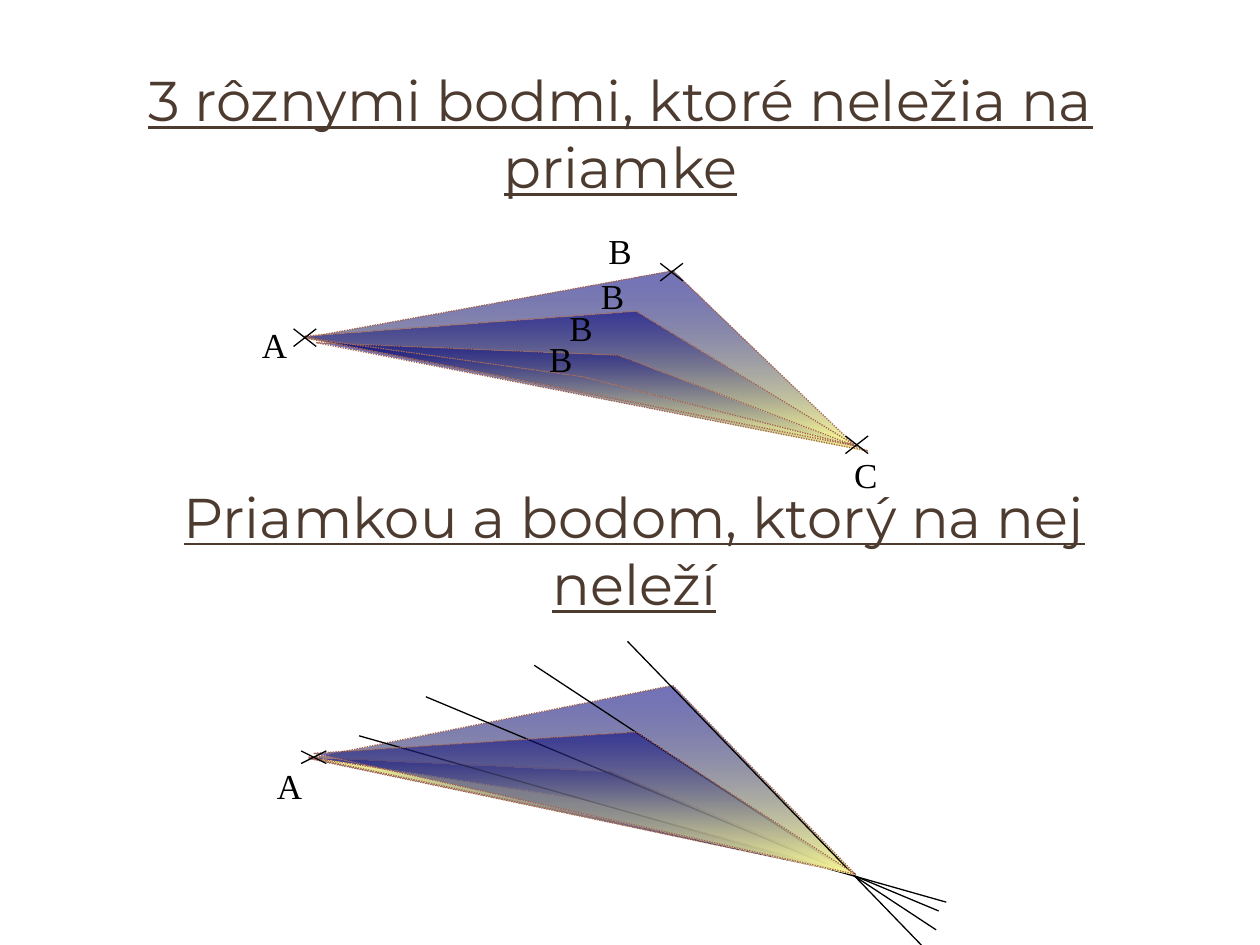
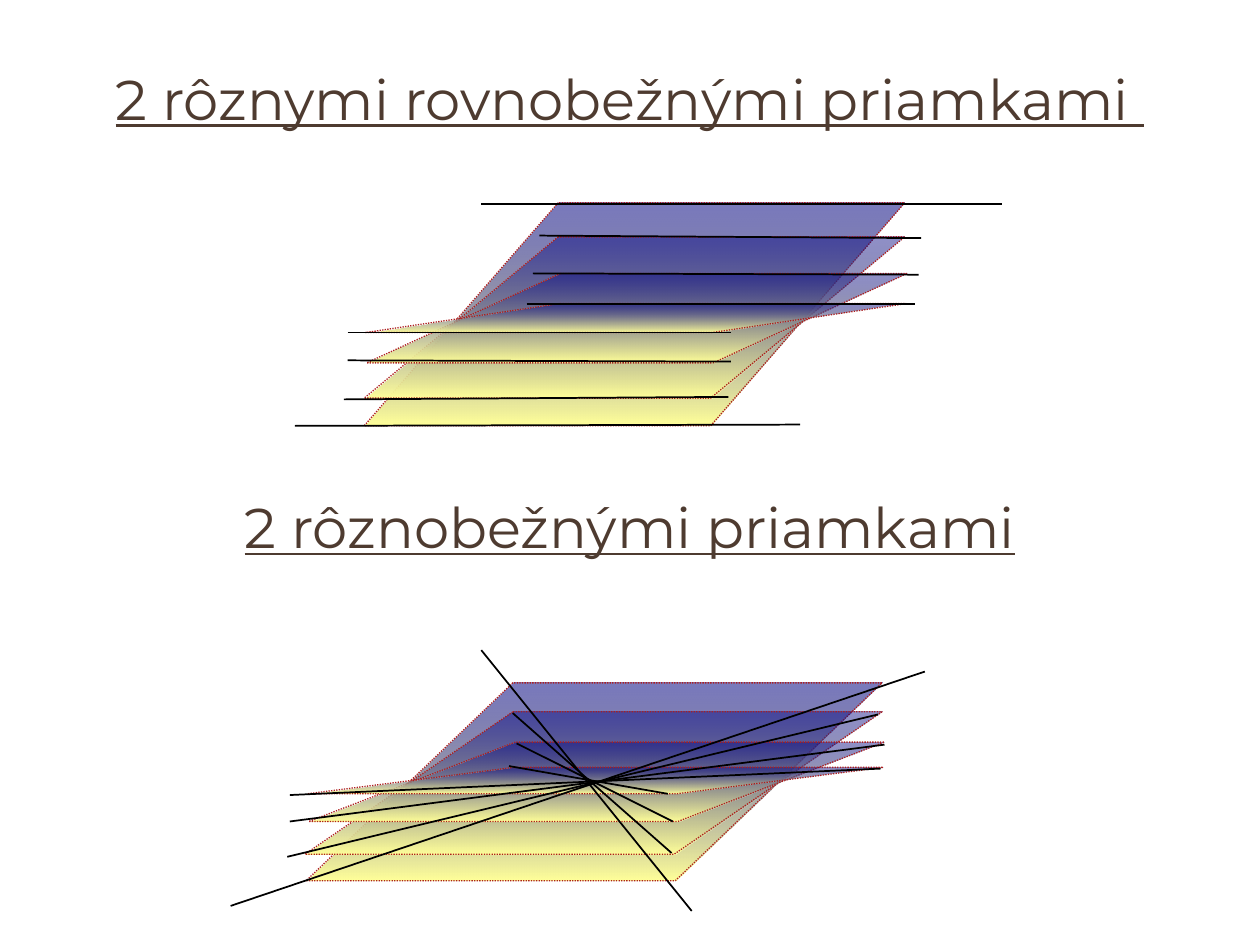
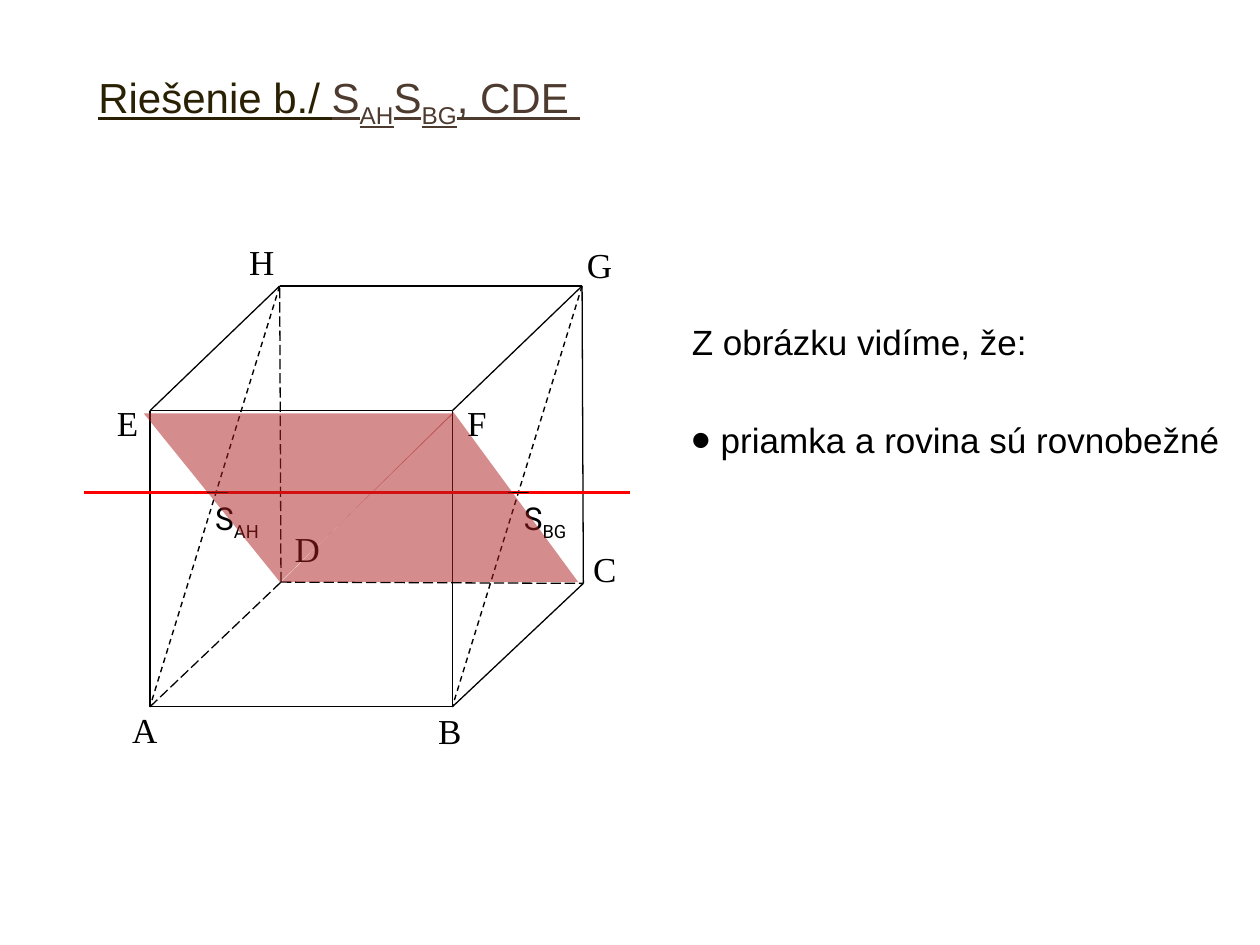
"""Builds three slides on how a plane is determined and on a line parallel to a plane."""
from dataclasses import dataclass

from lxml.etree import SubElement
from pptx import Presentation
from pptx.dml.color import RGBColor
from pptx.enum.dml import MSO_LINE
from pptx.enum.shapes import MSO_CONNECTOR as Connector, MSO_SHAPE as Preset
from pptx.enum.text import MSO_ANCHOR as Anchor, MSO_AUTO_SIZE as AutoSize, PP_ALIGN as Align
from pptx.oxml.ns import qn
from pptx.util import Pt

PX = 9144


@dataclass(frozen=True)
class Theme:
    brown: str = "4E3B30"
    olive: str = "2A2003"
    black: str = "000000"
    navy: str = "000080"
    yellow: str = "FFFF99"
    copper: str = "A5644E"
    crimson: str = "AD1F1F"
    red: str = "FF0000"
    heading: tuple = ("Montserrat", 32, True)
    solution: tuple = ("Arial", 24, True)
    body: tuple = ("Arial", 20, False)
    point: tuple = ("Times New Roman", 20, False)
    midpoint: tuple = ("Roboto", 18, False)


theme = Theme()


def write(shape, at, text, style, colour, align=Align.LEFT):
    for side, length in zip(("left", "top", "width", "height"), at):
        setattr(shape, side, length * PX)
    frame = shape.text_frame
    frame_format = {"word_wrap": True, "auto_size": AutoSize.NONE, "vertical_anchor": Anchor.TOP}
    for attribute, value in frame_format.items():
        setattr(frame, attribute, value)
    name, size, underline = style
    for index, line in enumerate(text.split("\n")):
        paragraph = frame.add_paragraph() if index else frame.paragraphs[0]
        paragraph.alignment = align
        for order, part in enumerate(line.split("|")):
            if not part:
                continue
            run = paragraph.add_run()
            run.text = part
            run_format = {"name": name, "size": Pt(size), "underline": underline}
            for attribute, value in run_format.items():
                setattr(run.font, attribute, value)
            run.font.color.rgb = RGBColor.from_string(colour)
            if order % 2:
                run.font._element.set("baseline", "-25000")


def draw(slide, points, stroke, stops=()):
    if len(points) == 2:
        ends = [length * PX for point in points for length in point]
        figure = slide.shapes.add_connector(Connector.STRAIGHT, *ends)
    else:
        builder = slide.shapes.build_freeform(*points[0], scale=PX)
        builder.add_line_segments(points[1:], close=True)
        figure = builder.convert_to_shape()
        figure.shadow.inherit = False
        figure.fill.gradient()
        figure.fill.gradient_angle = 270
        for stop, (colour, opacity) in zip(figure.fill.gradient_stops, stops):
            stop.color.rgb = RGBColor.from_string(colour)
            tone = stop._gs.find(qn("a:srgbClr"))
            SubElement(tone, qn("a:alpha"), val=str(opacity * 1000))
    colour, weight, dash = stroke
    figure.line.color.rgb = RGBColor.from_string(colour)
    figure.line.width = Pt(weight)
    if dash:
        figure.line.dash_style = dash
    if len(points) == 2:
        SubElement(figure._element.spPr, qn("a:effectLst"))


deck = Presentation()
deck.slide_width, deck.slide_height = 1000 * PX, 750 * PX
title_only, title_and_body = deck.slide_layouts[5], deck.slide_layouts[1]

thin = (theme.black, 0.75, None)
medium = (theme.black, 1, None)
hidden_edge = (theme.black, 0.75, MSO_LINE.LONG_DASH)
diagonal = (theme.black, 0.79, MSO_LINE.DASH)
triangle_edge = (theme.copper, 0.75, MSO_LINE.ROUND_DOT)
plane_edge = (theme.crimson, 0.75, MSO_LINE.ROUND_DOT)
sheer = [(theme.navy, 55), (theme.yellow, 100)]
solid = [(theme.yellow, 100), (theme.navy, 100)]

points_slide = deck.slides.add_slide(title_only)
write(points_slide.shapes.title, (59, 47, 867, 118),
      "3 rôznymi bodmi, ktoré neležia na priamke", theme.heading, theme.brown, Align.CENTER)
write(points_slide.shapes.add_textbox(0, 0, 0, 0), (71, 378, 865, 118),
      "Priamkou a bodom, ktorý na nej neleží", theme.heading, theme.brown, Align.CENTER)

for corners, stops in [
    ([(243, 268), (534, 215), (680, 355)], sheer),
    ([(240, 267), (505, 247), (678, 353)], sheer),
    ([(251, 272), (491, 282), (689, 358)], sheer),
    ([(241, 268), (462, 299), (679, 354)], sheer),
    ([(245, 602), (534, 544), (679, 694)], sheer),
    ([(245, 601), (484, 612), (679, 694)], sheer),
    ([(245, 601), (465, 635), (679, 694)], solid),
]:
    draw(points_slide, corners, triangle_edge, stops)
for line in [
    [(498, 509), (737, 756)],
    [(424, 528), (743, 738)],
    [(338, 553), (745, 723)],
    [(285, 584), (751, 716)],
]:
    draw(points_slide, line, thin)
draw(points_slide, [(249, 598), (679, 694), (505, 581)], triangle_edge, sheer)

for x, y, reach, rise in [(680, 353, 9, 7), (533, 216, 9, 7), (242, 268, 9, 7), (249, 601, 10, 5)]:
    for slope in (rise, -rise):
        draw(points_slide, [(x - reach, y - slope), (x + reach, y + slope)], thin)
for letter, x, y in [("A", 198, 252), ("B", 473, 177), ("C", 668, 355), ("B", 467, 213),
                     ("B", 442, 238), ("B", 426, 263), ("A", 210, 602)]:
    write(points_slide.shapes.add_textbox(0, 0, 0, 0), (x, y, 60, 43),
          letter, theme.point, theme.black)

lines_slide = deck.slides.add_slide(title_only)
write(lines_slide.shapes.title, (0, 46, 1000, 64),
      "2 rôznymi rovnobežnými priamkami ", theme.heading, theme.brown, Align.CENTER)
write(lines_slide.shapes.add_textbox(0, 0, 0, 0), (0, 386, 1000, 64),
      "2 rôznobežnými priamkami", theme.heading, theme.brown, Align.CENTER)

parallel_planes = [(443, 161, 289, 338), (443, 188, 289, 316),
                   (445, 217, 291, 288), (444, 241, 290, 264)]
parallel_lines = [
    [(382, 162), (795, 162)], [(428, 187), (731, 189)],
    [(423, 217), (729, 218)], [(418, 241), (726, 241)],
    [(234, 338), (635, 337)], [(273, 317), (578, 315)],
    [(276, 286), (580, 287)], [(276, 264), (580, 264)],
]
crossing_planes = [(407, 542, 243, 699), (407, 565, 242, 678),
                   (409, 589, 245, 652), (408, 609, 244, 630)]
crossing_lines = [
    [(407, 566), (533, 677)], [(410, 590), (534, 652)],
    [(404, 608), (530, 630)], [(183, 719), (734, 533)],
    [(228, 680), (697, 567)], [(230, 652), (702, 591)],
    [(230, 631), (699, 610)], [(382, 516), (549, 723)],
]
for planes, breadth, lines in [(parallel_planes, 275, parallel_lines),
                               (crossing_planes, 293, crossing_lines)]:
    for order, (head_x, head_y, foot_x, foot_y) in enumerate(planes):
        corners = [(head_x, head_y), (foot_x, foot_y),
                   (foot_x + breadth, foot_y), (head_x + breadth, head_y)]
        opacity = 43 if order else 52
        draw(lines_slide, corners, plane_edge, [(theme.navy, opacity), (theme.yellow, 100)])
    for line in lines:
        draw(lines_slide, line, medium)

cube_slide = deck.slides.add_slide(title_and_body)
solution = cube_slide.shapes.title
write(solution, (68, 52, 912, 60), "Riešenie b./ ||S|AH|S|BG|, CDE ", theme.solution, theme.brown)
solution.text_frame.paragraphs[0].runs[0].font.color.rgb = RGBColor.from_string(theme.olive)

conclusion = cube_slide.placeholders[1]
write(conclusion, (539, 233, 450, 222),
      "Z obrázku vidíme, že:\npriamka a rovina sú rovnobežné", theme.body, theme.black)
for paragraph, indent, gap in zip(conclusion.text_frame.paragraphs, (0, 23), (0, 20)):
    properties = paragraph._p.get_or_add_pPr()
    properties.set("marL", str(indent * PX))
    properties.set("indent", str(-indent * PX))
    if indent:
        SubElement(properties, qn("a:buSzPct"), val="160000")
        SubElement(properties, qn("a:buChar"), char="•")
    else:
        SubElement(properties, qn("a:buNone"))
    paragraph.line_spacing = 1.5
    paragraph.space_before = Pt(gap)

vertices = {"A": (119, 561), "B": (359, 561), "C": (463, 463), "D": (223, 462),
            "E": (119, 326), "F": (359, 326), "G": (462, 227), "H": (222, 227)}
for edges, stroke in [("AE BF CG AB BC EF HG EH FG", thin),
                      ("DH DC AD", hidden_edge), ("GB HA", diagonal)]:
    for start, end in edges.split():
        draw(cube_slide, [vertices[start], vertices[end]], stroke)
draw(cube_slide, [(67, 391), (500, 391)], (theme.red, 1.5, None))
for x in (164, 403):
    draw(cube_slide, [(x, 391), (x + 17, 391)], (theme.black, 0.79, None))

for name, x, y, style in [
    ("A", 95, 557, theme.point), ("B", 338, 558, theme.point),
    ("C", 461, 430, theme.point), ("D", 224, 414, theme.point),
    ("E", 83, 314, theme.point), ("F", 361, 314, theme.point),
    ("G", 456, 188, theme.point), ("H", 188, 186, theme.point),
    ("S|BG", 406, 391, theme.midpoint), ("S|AH", 161, 391, theme.midpoint),
]:
    write(cube_slide.shapes.add_textbox(0, 0, 0, 0), (x, y, 70, 43), name, style, theme.black)

for at, apex, turn in [((114, 328, 246, 134), 0.56, 180), ((223, 327, 236, 135), 0.58, 0)]:
    half_plane = cube_slide.shapes.add_shape(Preset.ISOSCELES_TRIANGLE, *[px * PX for px in at])
    half_plane.adjustments[0] = apex
    half_plane.rotation = turn
    half_plane.shadow.inherit = False
    half_plane.line.fill.background()
    half_plane.fill.solid()
    half_plane.fill.fore_color.rgb = RGBColor.from_string(theme.crimson)
    tint = half_plane._element.spPr.find(qn("a:solidFill")).find(qn("a:srgbClr"))
    SubElement(tint, qn("a:alpha"), val="51000")

deck.save("out.pptx")
